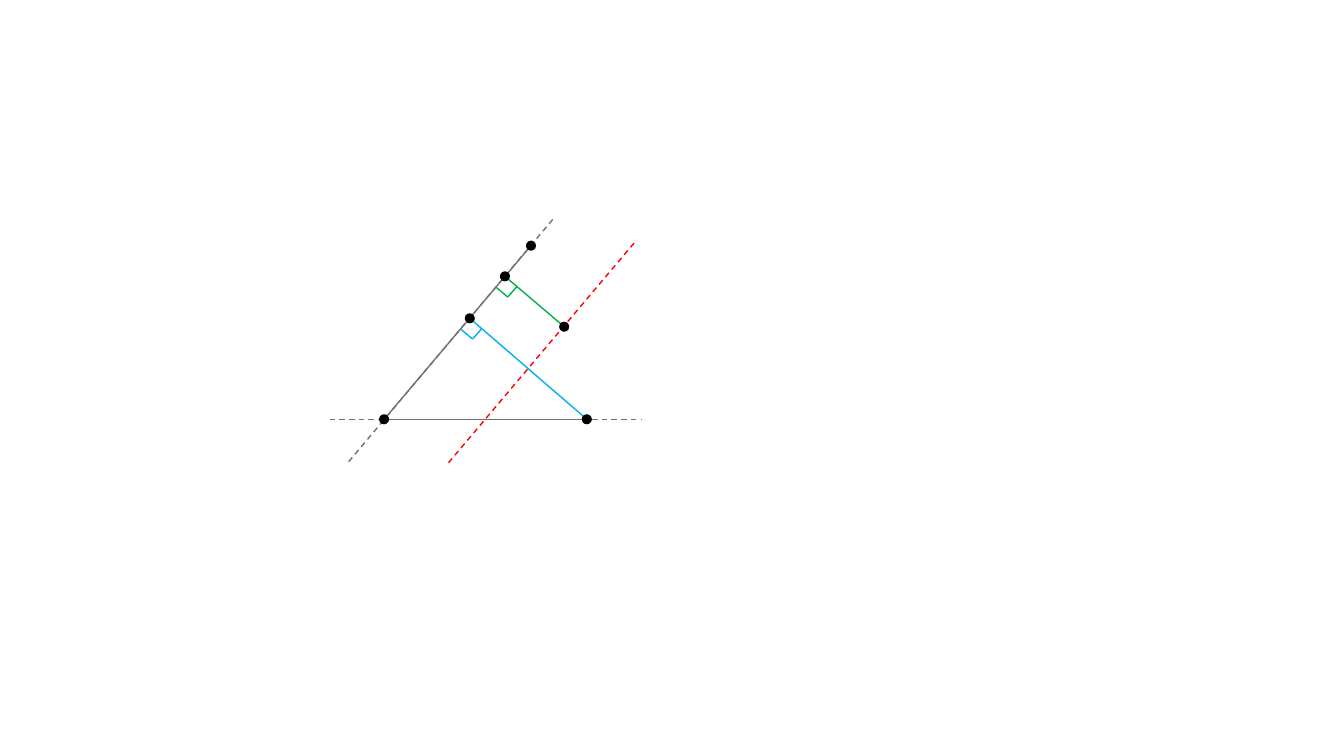
from dataclasses import dataclass

from lxml import etree
from pptx import Presentation
from pptx.dml.color import RGBColor
from pptx.enum.dml import MSO_LINE
from pptx.enum.shapes import MSO_CONNECTOR, MSO_SHAPE
from pptx.oxml.ns import qn
from pptx.util import Pt

DASH = MSO_LINE.DASH
STRAIGHT = MSO_CONNECTOR.STRAIGHT
OVAL = MSO_SHAPE.OVAL


@dataclass(frozen=True)
class Theme:
    arm: RGBColor = RGBColor(0x76, 0x71, 0x71)
    parallel: RGBColor = RGBColor(0xFF, 0x00, 0x00)
    long_perpendicular: RGBColor = RGBColor(0x00, 0xB0, 0xF0)
    short_perpendicular: RGBColor = RGBColor(0x00, 0xB0, 0x50)
    point: RGBColor = RGBColor(0x00, 0x00, 0x00)
    line_width: float = 1
    point_size: float = 7.2


class GeometryFigure:
    def __init__(self, slide, theme):
        self.slide = slide
        self.theme = theme

    def line(self, start, end, color, dash=None):
        segment = self.slide.shapes.add_connector(
            STRAIGHT, *(Pt(value) for value in (*start, *end)))
        segment.line.color.rgb = color
        segment.line.width = Pt(self.theme.line_width)
        if dash is not None:
            segment.line.dash_style = dash
        etree.SubElement(segment._element.spPr, qn("a:effectLst"))

    def right_angle(self, foot, color):
        """Draw the two outer sides of a square mark below a perpendicular's foot."""
        x, y = foot
        along_arm, along_perpendicular = (-6.6, 7.6), (8.6, 7.2)
        corner = (x + along_arm[0] + along_perpendicular[0],
                  y + along_arm[1] + along_perpendicular[1])
        for dx, dy in (along_arm, along_perpendicular):
            self.line(corner, (x + dx, y + dy), color)

    def point(self, center):
        size = self.theme.point_size
        x, y = center
        dot = self.slide.shapes.add_shape(
            OVAL, Pt(x - size / 2), Pt(y - size / 2), Pt(size), Pt(size))
        dot.fill.solid()
        dot.fill.fore_color.rgb = self.theme.point
        dot.line.fill.background()
        dot.shadow.inherit = False


def main():
    deck = Presentation()
    deck.slide_width, deck.slide_height = Pt(960), Pt(540)
    theme = Theme()
    figure = GeometryFigure(deck.slides.add_slide(deck.slide_layouts[6]), theme)

    vertex = (274.4, 299.5)
    base_end = (419.2, 299.5)
    arm_end = (379.3, 175.5)
    long_foot = (335.6, 227.4)
    short_foot = (360.7, 197.4)
    parallel_point = (403, 233.4)

    perpendiculars = (
        (long_foot, base_end, theme.long_perpendicular),
        (short_foot, parallel_point, theme.short_perpendicular),
    )
    for foot, end, color in perpendiculars:
        figure.line(end, foot, color)
        figure.right_angle(foot, color)

    figure.line((235.4, 299.5), (458.6, 299.5), theme.arm, DASH)
    figure.line((249.1, 329.8), (395.3, 156.2), theme.arm, DASH)
    for end in (base_end, arm_end):
        figure.line(vertex, end, theme.arm)
    figure.line((320.4, 330.5), (453.6, 172.8), theme.parallel, DASH)

    for center in (arm_end, vertex, base_end, parallel_point, short_foot, long_foot):
        figure.point(center)

    deck.save("out.pptx")


if __name__ == "__main__":
    main()
